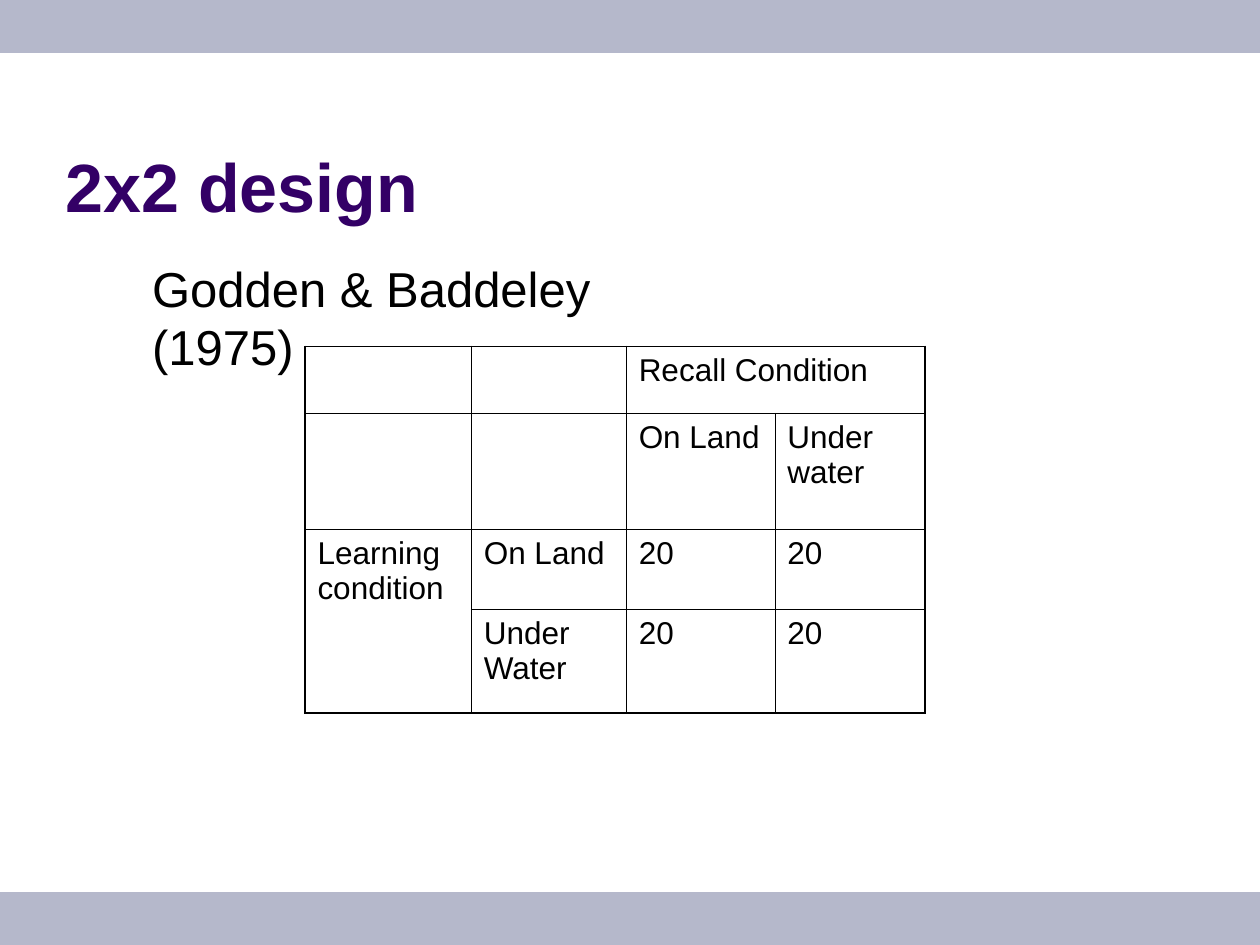
from lxml import etree
from pptx import Presentation
from pptx import util as u
from pptx.dml.color import RGBColor
from pptx.enum import shapes, text
from pptx.oxml.ns import qn

BAND = "B5B8CB"
HEADING = "330066"
INK = "000000"


def colour(value):
    return RGBColor.from_string(value)


class SlideBuilder:
    font = "Arial"
    thin, thick = 0.45, 1.08

    def __init__(self, slide):
        self.slide = slide

    def band(self, top, height):
        bar = self.slide.shapes.add_shape(
            shapes.MSO_SHAPE.RECTANGLE, 0, u.Inches(top), u.Inches(10), u.Inches(height))
        bar.shadow.inherit = False
        bar.fill.solid()
        bar.fill.fore_color.rgb = colour(BAND)
        bar.line.fill.background()

    def set_words(self, frame, wording, size, ink=INK, bold=False):
        frame.text = wording
        for run in frame.paragraphs[0].runs:
            run.font.name = self.font
            run.font.size = u.Pt(size)
            run.font.bold = bold
            run.font.color.rgb = colour(ink)

    def label(self, box, wording, size, ink=INK, bold=False, wrap=True,
              anchor=text.MSO_ANCHOR.TOP):
        frame = self.slide.shapes.add_textbox(*map(u.Inches, box)).text_frame
        frame.word_wrap = wrap
        frame.vertical_anchor = anchor
        self.set_words(frame, wording, size, ink, bold)

    def border(self, cell, side, width):
        line = etree.SubElement(cell._tc.get_or_add_tcPr(), qn(f"a:{side}"), w=str(u.Pt(width)))
        fill = etree.SubElement(line, qn("a:solidFill"))
        etree.SubElement(fill, qn("a:srgbClr"), val=INK)

    def table(self, box, widths, heights, rows, merges):
        grid = self.slide.shapes.add_table(
            len(rows), len(widths), *map(u.Inches, box)).table
        for column, width in zip(grid.columns, widths):
            column.width = u.Inches(width)
        for row, height in zip(grid.rows, heights):
            row.height = u.Inches(height)
        for first, last in merges:
            grid.cell(*first).merge(grid.cell(*last))
        for r, row in enumerate(rows):
            for c, wording in enumerate(row):
                cell = grid.cell(r, c)
                bottom = r + max(cell.span_height, 1)
                right = c + max(cell.span_width, 1)
                outer = {"lnL": c == 0, "lnR": right == len(widths),
                         "lnT": r == 0, "lnB": bottom == len(rows)}
                for side, is_outer in outer.items():
                    self.border(cell, side, self.thick if is_outer else self.thin)
                cell.fill.background()
                if wording:
                    self.set_words(cell.text_frame, wording, 18)
                    cell.text_frame.paragraphs[0].space_before = u.Pt(4.5)


def main():
    deck = Presentation()
    deck.slide_width, deck.slide_height = u.Inches(10), u.Inches(7.5)
    page = SlideBuilder(deck.slides.add_slide(deck.slide_layouts[6]))

    for top in (7.08, 0):
        page.band(top, 0.42)
    page.label((0.42, 0.42, 8.25, 1.42), "2x2 design", 39, HEADING, bold=True,
               anchor=text.MSO_ANCHOR.BOTTOM)
    page.table(
        (2.42, 2.75, 4.92, 2.92),
        widths=(1.32, 1.23, 1.18, 1.19),
        heights=(0.53, 0.92, 0.64, 0.82),
        rows=(
            ("", "", "Recall Condition", ""),
            ("", "", "On Land", "Under water"),
            ("Learning condition", "On Land", "20", "20"),
            ("", "Under Water", "20", "20"),
        ),
        merges=(((0, 2), (0, 3)), ((2, 0), (3, 0))),
    )
    page.label((1.11, 2, 4.9, 0.57), "Godden & Baddeley (1975)", 28, wrap=False)
    deck.save("out.pptx")


if __name__ == "__main__":
    main()
